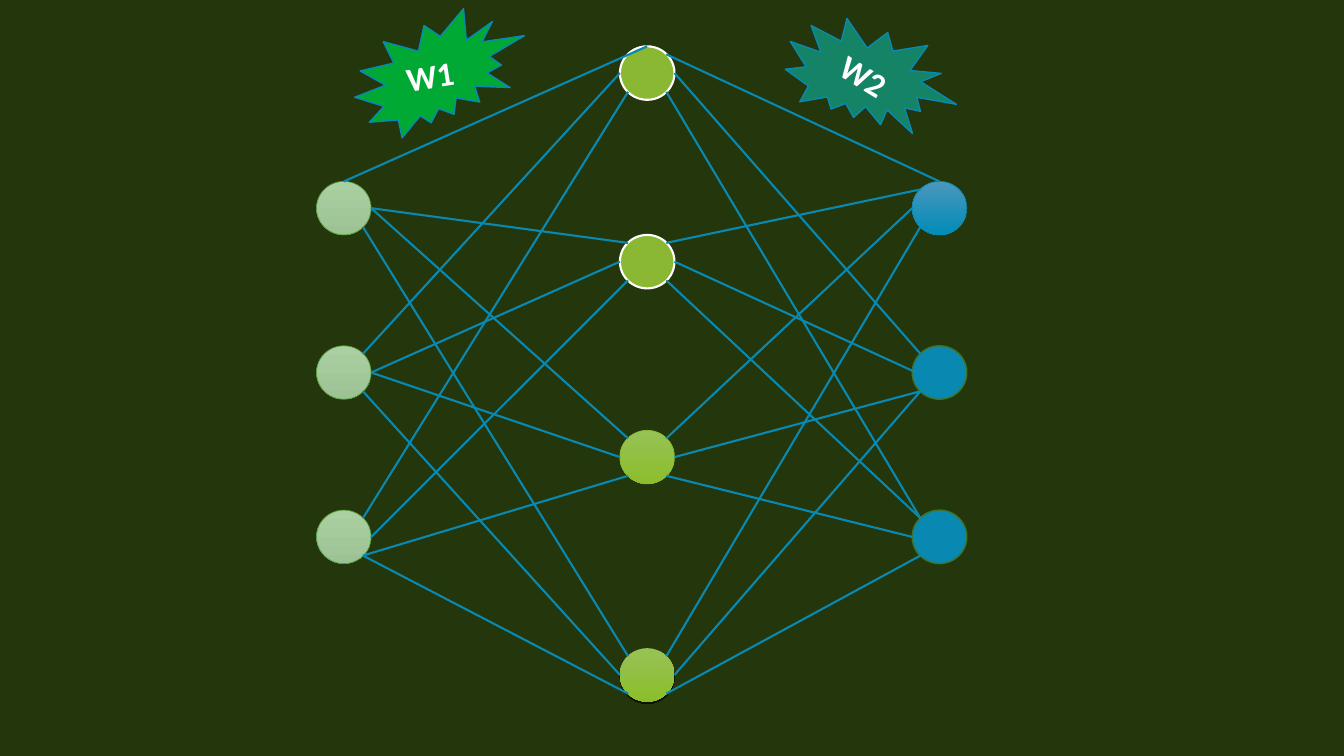
from lxml import etree
from pptx import Presentation
from pptx.dml.color import RGBColor
from pptx.enum.shapes import MSO_CONNECTOR, MSO_SHAPE
from pptx.enum.text import MSO_ANCHOR, PP_ALIGN
from pptx.oxml.ns import qn
from pptx.util import Pt

STRAIGHT = MSO_CONNECTOR.STRAIGHT
OVAL = MSO_SHAPE.OVAL
BURST = MSO_SHAPE.EXPLOSION2
MIDDLE = MSO_ANCHOR.MIDDLE
JUSTIFY, CENTER = PP_ALIGN.JUSTIFY, PP_ALIGN.CENTER

COLORS = {
    "background": "24360C", "link": "0989B1", "white": "FFFFFF", "black": "000000",
    "lime": "8AB833", "lime_top": "97C256", "lime_bottom": "8BBE2B",
    "sage_top": "A9CFA2", "sage_bottom": "9DC395", "sage_edge": "549E39",
    "blue_top": "4B97BC", "blue_bottom": "008CB8", "blue_edge": "3E742A",
    "w1": "00A933", "w2": "158466",
}

NODE_WIDTH, NODE_HEIGHT = 39, 38.2
OUTER_TOPS = [129.6 + 117.4 * row for row in range(3)]
HIDDEN_TOPS = [33.1, 167.8, 307.4, 463]
LAYERS = {
    "input": (226.1, OUTER_TOPS),
    "hidden": (442.8, HIDDEN_TOPS),
    "output": (651.6, OUTER_TOPS),
}

SAGE = (("sage_top", "sage_bottom"), "sage_edge", 0.5)
RINGED = (("lime",), "white", 1.5)
BLUE = (("link",), "blue_edge", 1)
NODE_STYLES = {
    "input": [SAGE] * 3,
    "hidden": [RINGED, RINGED, (("lime_top", "lime_bottom"), "lime", 0.5),
               (("lime_top", "lime_bottom"), None, 0)],
    "output": [(("blue_top", "blue_bottom"), "link", 0.5), BLUE, BLUE],
}

SITES = {
    "top": (0.5, 0), "left": (0, 0.5), "right": (1, 0.5), "core": (0.5, 0.7),
    "top_left": (0.15, 0.15), "top_right": (0.85, 0.15),
    "bottom_left": (0.15, 0.85), "bottom_right": (0.85, 0.85),
}
HIDDEN_SITES = {
    "input": ["top_left", "left", "bottom_left"],
    "output": ["top_right", "right", "bottom_right"],
}
OUTER_SITES = {
    "input": [
        ["top", "top_right", "top_right"],
        ["right", "right", "right"],
        ["right", "right", "bottom_right"],
        ["bottom_right", "bottom_right", "bottom_right"],
    ],
    "output": [
        ["top", "top_left", "top_left"],
        ["top_left", "core", "top_left"],
        ["left", "bottom_left", "left"],
        ["bottom_left", "bottom_left", "bottom_left"],
    ],
}


def color(name):
    return RGBColor.from_string(COLORS[name])


def paint(shape, fills, edge, weight):
    shape.shadow.inherit = False
    if len(fills) == 1:
        shape.fill.solid()
        shape.fill.fore_color.rgb = color(fills[0])
    else:
        shape.fill.gradient()
        shape.fill.gradient_angle = 270
        for position, (stop, name) in enumerate(zip(shape.fill.gradient_stops, fills)):
            stop.position = position
            stop.color.rgb = color(name)
    if edge is None:
        shape.line.fill.background()
    else:
        shape.line.color.rgb = color(edge)
        shape.line.width = Pt(weight)


def add_drop_shadow(shape):
    effects = shape._element.spPr.find(qn("a:effectLst"))
    shadow = etree.SubElement(effects, qn("a:outerShdw"), blurRad="0",
                              dist=str(Pt(1.5)), dir="5400000", rotWithShape="0")
    tone = etree.SubElement(shadow, qn("a:srgbClr"), val=COLORS["black"])
    etree.SubElement(tone, qn("a:alpha"), val="63000")


def add_node(page, layer, row):
    left, tops = LAYERS[layer]
    node = page.shapes.add_shape(OVAL, Pt(left), Pt(tops[row]),
                                 Pt(NODE_WIDTH), Pt(NODE_HEIGHT))
    paint(node, *NODE_STYLES[layer][row])
    return node


def site_point(layer, row, site):
    left, tops = LAYERS[layer]
    across, down = SITES[site]
    return Pt(left + across * NODE_WIDTH), Pt(tops[row] + down * NODE_HEIGHT)


def add_link(page, start, end):
    link = page.shapes.add_connector(STRAIGHT, *start, *end)
    link.line.color.rgb = color("link")
    link.line.width = Pt(1.5)
    etree.SubElement(link._element.spPr, qn("a:effectLst"))


def add_layer_links(page, layer):
    for hidden_row, outer_sites in enumerate(OUTER_SITES[layer]):
        for outer_row, outer_site in enumerate(outer_sites):
            hidden_site = HIDDEN_SITES[layer][outer_row]
            if layer == "input" and outer_site == "top":
                hidden_site = "top"
            add_link(page, site_point("hidden", hidden_row, hidden_site),
                     site_point(layer, outer_row, outer_site))


def add_weight_badge(page, text, place, rotation, fill, alignment):
    badge = page.shapes.add_shape(BURST, *(Pt(length) for length in place))
    badge.rotation = rotation
    paint(badge, (fill,), "link", 1)
    frame = badge.text_frame
    frame.vertical_anchor = MIDDLE
    para = frame.paragraphs[0]
    para.alignment = alignment
    span = para.add_run()
    span.text = text
    for name, value in {"name": "Calibri", "size": Pt(24), "bold": True}.items():
        setattr(span.font, name, value)
    span.font.color.rgb = color("white")


def main():
    deck = Presentation()
    deck.slide_width, deck.slide_height = Pt(960), Pt(540)
    page = deck.slides.add_slide(deck.slide_layouts[6])
    page.background.fill.solid()
    page.background.fill.fore_color.rgb = color("background")

    for layer, styles in NODE_STYLES.items():
        nodes = [add_node(page, layer, row) for row in range(len(styles))]
        if layer == "hidden":
            add_drop_shadow(nodes[-1])
    for layer in OUTER_SITES:
        add_layer_links(page, layer)

    add_weight_badge(page, "W1", (251.3, 9.4, 126.7, 84.2), 350.9, "w1", JUSTIFY)
    add_weight_badge(page, "W2", (559.4, 14.4, 124.6, 82.1), 31.5, "w2", CENTER)
    deck.save("out.pptx")


if __name__ == "__main__":
    main()
